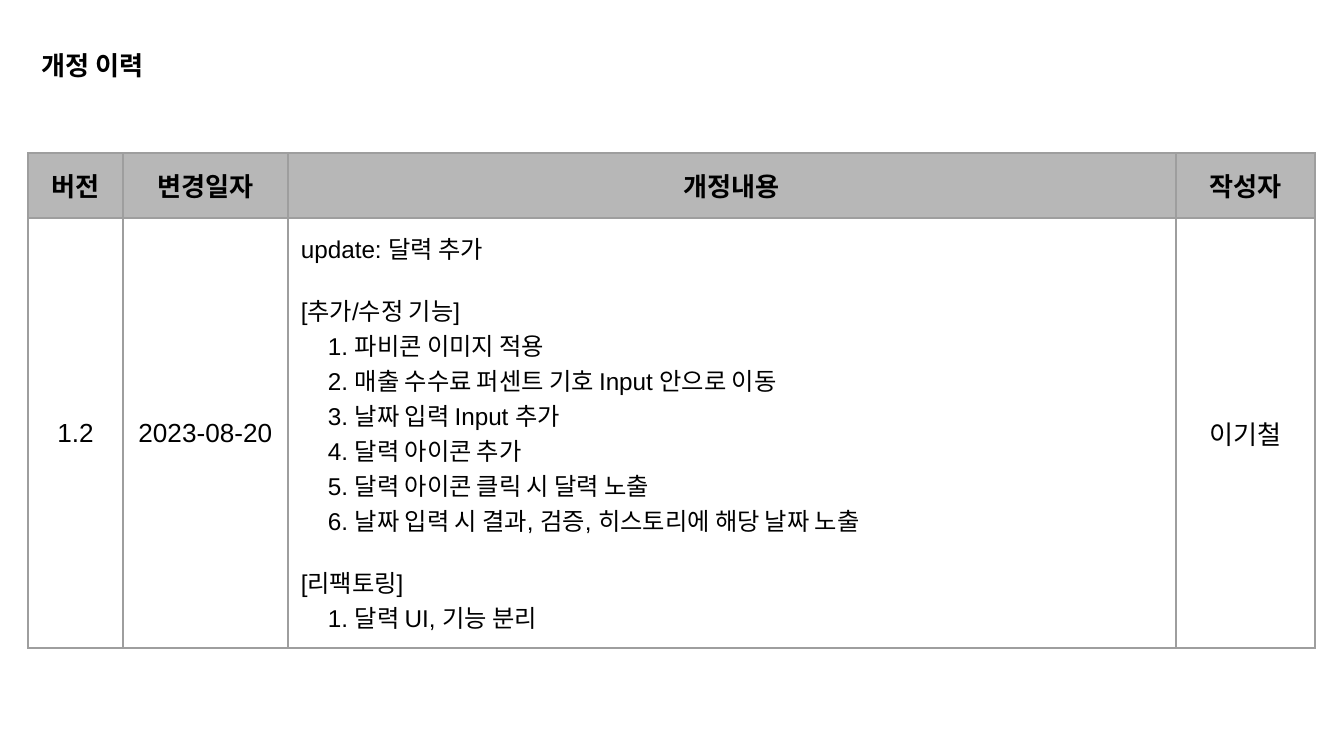
from dataclasses import dataclass

from lxml.etree import Element, SubElement
from pptx import Presentation
from pptx.dml.color import RGBColor
from pptx.enum.text import MSO_ANCHOR as Anchor, MSO_AUTO_SIZE as AutoSize, PP_ALIGN as Align
from pptx.oxml.ns import qn
from pptx.util import Emu, Pt

SLIDE_W, SLIDE_H = 1344, 756
EMU_PER_PX = 9144000 / SLIDE_W


@dataclass(frozen=True)
class Theme:
    font: str = "Arial"
    text: str = "000000"
    header: str = "B7B7B7"
    border: str = "9E9E9E"
    border_pt: float = 0.75
    main_pt: int = 14
    detail_pt: int = 13
    section_gap_pt: float = 14.5
    inset: int = 13
    list_indent: int = 27


@dataclass(frozen=True)
class Column:
    heading: str
    width: int


@dataclass(frozen=True)
class Section:
    heading: str
    items: tuple[str, ...] = ()


THEME = Theme()
LEFT = 28
TABLE_TOP = 153
ROW_HEIGHTS = (65, 430)
COLUMNS = (
    Column("버전", 95),
    Column("변경일자", 165),
    Column("개정내용", 888),
    Column("작성자", 139),
)
VERSION, DATE, AUTHOR = "1.2", "2023-08-20", "이기철"
CHANGES = (
    Section("update: 달력 추가"),
    Section("[추가/수정 기능]", (
        "파비콘 이미지 적용",
        "매출 수수료 퍼센트 기호 Input 안으로 이동",
        "날짜 입력 Input 추가",
        "달력 아이콘 추가",
        "달력 아이콘 클릭 시 달력 노출",
        "날짜 입력 시 결과, 검증, 히스토리에 해당 날짜 노출",
    )),
    Section("[리팩토링]", ("달력 UI, 기능 분리",)),
)


def px(n: int) -> Emu:
    return Emu(round(n * EMU_PER_PX))


def set_insets(box) -> None:
    """Give a cell or text frame the same margin on all four sides."""
    box.margin_left = box.margin_right = px(THEME.inset)
    box.margin_top = box.margin_bottom = px(THEME.inset)


def write(p, text: str, size: int, bold: bool = False, align: Align = Align.LEFT) -> None:
    p.text = text
    p.alignment = align
    for r in p.runs:
        r.font.name = THEME.font
        r.font.size = Pt(size)
        r.font.bold = bold
        r.font.color.rgb = RGBColor.from_string(THEME.text)


def add_borders(cell) -> None:
    tc_pr = cell._tc.get_or_add_tcPr()
    for i, side in enumerate(("lnL", "lnR", "lnT", "lnB")):
        ln = Element(qn(f"a:{side}"), w=str(Pt(THEME.border_pt)))
        fill = SubElement(ln, qn("a:solidFill"))
        SubElement(fill, qn("a:srgbClr"), val=THEME.border)
        tc_pr.insert(i, ln)


def write_changes(tf) -> None:
    p = tf.paragraphs[0]
    for i, section in enumerate(CHANGES):
        if i:
            p = tf.add_paragraph()
            p.space_before = Pt(THEME.section_gap_pt)
        write(p, section.heading, THEME.detail_pt)
        for number, item in enumerate(section.items, 1):
            p = tf.add_paragraph()
            write(p, f"{number}. {item}", THEME.detail_pt)
            p._p.get_or_add_pPr().set("marL", str(px(THEME.list_indent)))


def add_title(s, text: str) -> None:
    title = s.shapes.title
    title.left, title.top, title.width, title.height = px(LEFT), px(36), px(192), px(42)
    tf = title.text_frame
    tf.word_wrap = True
    tf.auto_size = AutoSize.NONE
    tf.vertical_anchor = Anchor.TOP
    set_insets(tf)
    write(tf.paragraphs[0], text, THEME.main_pt, bold=True)


def add_history_table(s) -> None:
    width = sum(c.width for c in COLUMNS)
    table = s.shapes.add_table(len(ROW_HEIGHTS), len(COLUMNS), px(LEFT), px(TABLE_TOP),
                               px(width), px(sum(ROW_HEIGHTS))).table
    table.first_row = table.horz_banding = False
    for row, height in zip(table.rows, ROW_HEIGHTS):
        row.height = px(height)

    body = (VERSION, DATE, None, AUTHOR)
    for i, (column, value) in enumerate(zip(COLUMNS, body)):
        table.columns[i].width = px(column.width)
        head, cell = table.cell(0, i), table.cell(1, i)
        head.fill.solid()
        head.fill.fore_color.rgb = RGBColor.from_string(THEME.header)
        cell.fill.background()
        for c in (head, cell):
            set_insets(c)
            add_borders(c)
        write(head.text_frame.paragraphs[0], column.heading, THEME.main_pt, True, Align.CENTER)
        if value is None:
            write_changes(cell.text_frame)
        else:
            cell.vertical_anchor = Anchor.MIDDLE
            write(cell.text_frame.paragraphs[0], value, THEME.main_pt, align=Align.CENTER)


def main() -> None:
    prs = Presentation()
    prs.slide_width, prs.slide_height = px(SLIDE_W), px(SLIDE_H)
    s = prs.slides.add_slide(prs.slide_layouts.get_by_name("Title Only"))
    add_title(s, "개정 이력")
    add_history_table(s)
    prs.save("out.pptx")


if __name__ == "__main__":
    main()
